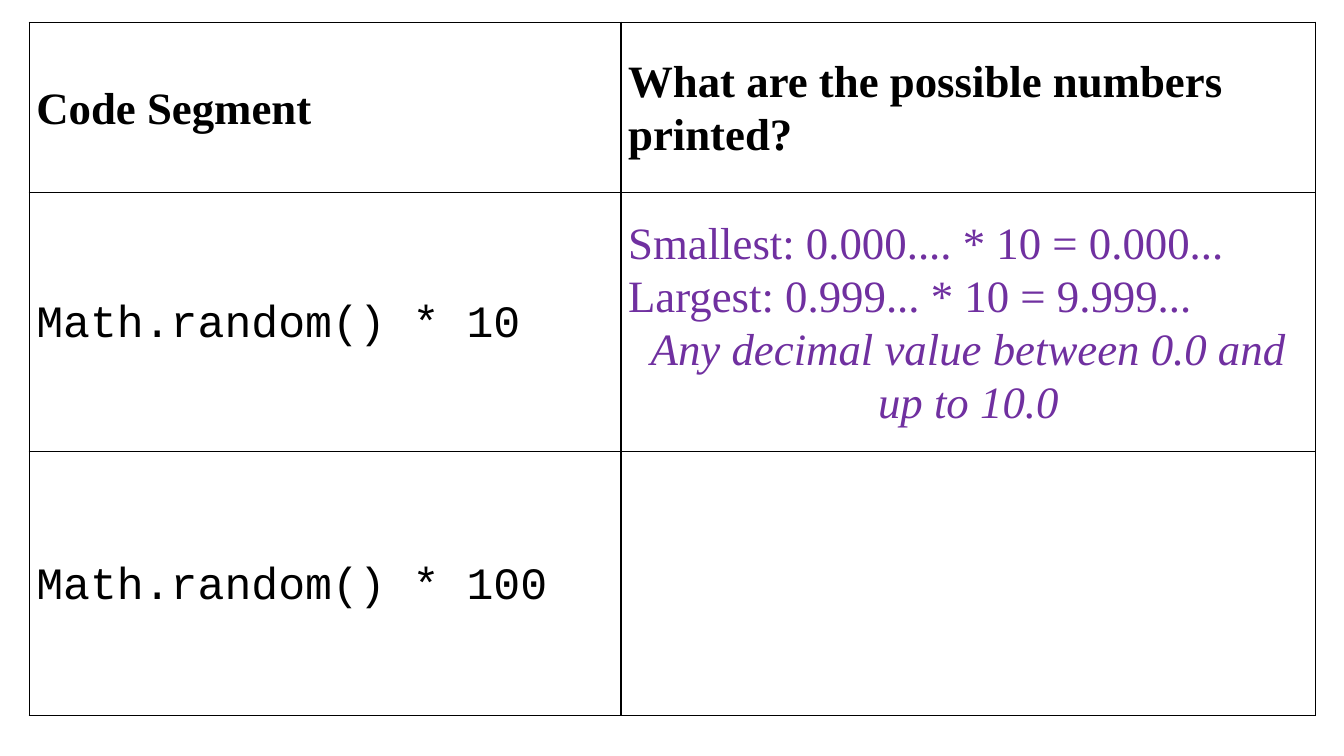
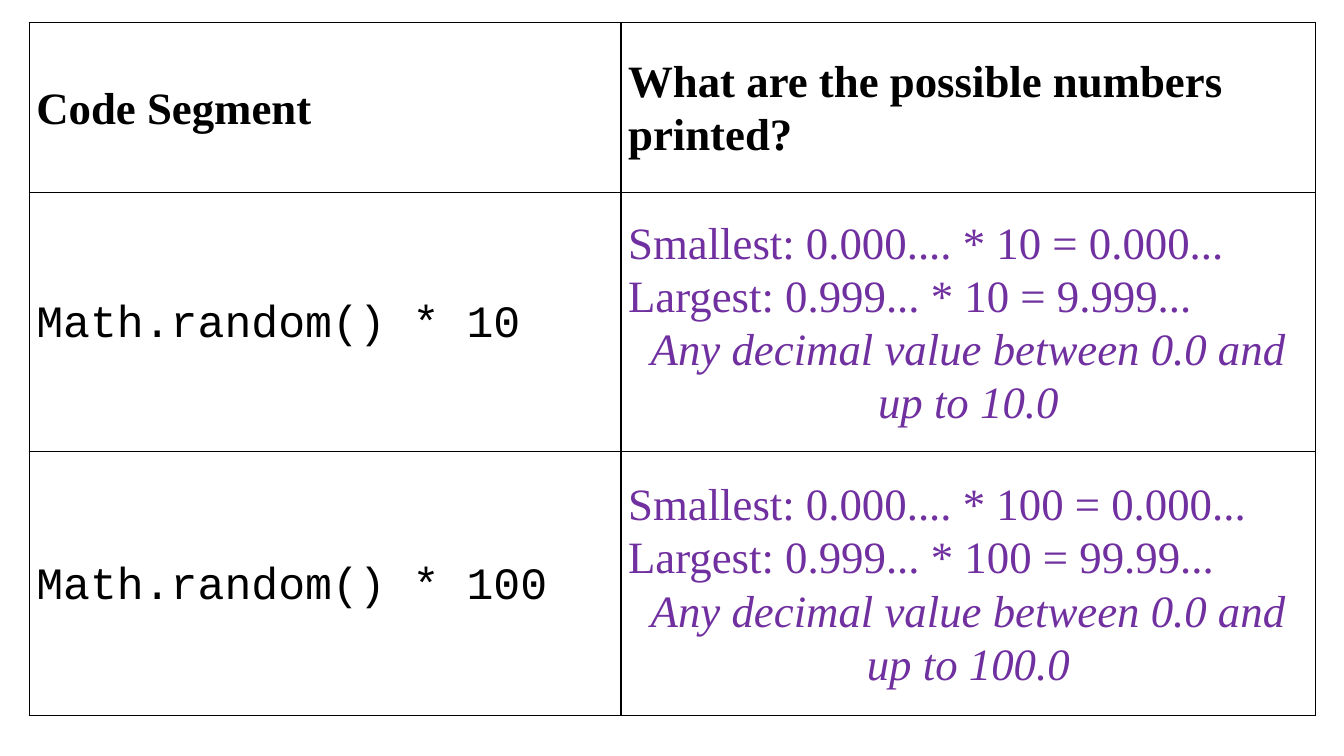
import pptx
import pptx.util
import pptx.dml.color
import pptx.enum.text
import pptx.oxml
import pptx.oxml.ns

Inches = pptx.util.Inches
ALIGN = pptx.enum.text.PP_ALIGN
SERIF = "Times New Roman"
MONO = "Courier New"
BLACK = "000000"
PURPLE = "7030A0"
COLS = [5.87, 6.89]
ROWS = [1.69, 2.57, 2.62]


def color(code):
    return pptx.dml.color.RGBColor.from_string(code)


def border(cell):
    props = cell._tc.get_or_add_tcPr()
    for side in "LRTB":
        props.append(pptx.oxml.parse_xml(
            f'<a:ln{side} {pptx.oxml.ns.nsdecls("a")} w="{pptx.util.Pt(1)}">'
            f'<a:solidFill><a:srgbClr val="{BLACK}"/></a:solidFill>'
            f'</a:ln{side}>'))


def style(par, face=SERIF, tint=BLACK, bold=False, slant=False,
          space=1.07, align=ALIGN.LEFT):
    par.alignment = align
    par.line_spacing = space
    font = par.font
    font.name = face
    font.size = pptx.util.Pt(32)
    font.bold = bold
    font.italic = slant
    font.color.rgb = color(tint)


def frame(cell):
    border(cell)
    cell.fill.background()
    cell.vertical_anchor = pptx.enum.text.MSO_ANCHOR.MIDDLE
    cell.margin_left = cell.margin_right = Inches(0.07)
    cell.margin_top = cell.margin_bottom = 0


def label(cell, text, **look):
    cell.text = text
    style(cell.text_frame.paragraphs[0], **look)


def answer(cell, factor, top):
    cell.text = "\n".join([
        f"Smallest: 0.000.... * {factor} = 0.000...",
        f"Largest: 0.999... * {factor} = {top}...",
        f"Any decimal value between 0.0 and up to {factor}.0"])
    *bounds, range_line = cell.text_frame.paragraphs
    for par in bounds:
        style(par, tint=PURPLE)
    style(range_line, tint=PURPLE, slant=True, align=ALIGN.CENTER)


def grid(slide):
    table = slide.shapes.add_table(
        len(ROWS), len(COLS), Inches(0.29), Inches(0.22),
        Inches(sum(COLS)), Inches(sum(ROWS))).table
    table.first_row = table.horz_banding = False
    for col, width in zip(table.columns, COLS):
        col.width = Inches(width)
    for row, height in zip(table.rows, ROWS):
        row.height = Inches(height)
    for cell in table.iter_cells():
        frame(cell)
    return table


def quiz(deck, solved):
    table = grid(deck.slides.add_slide(deck.slide_layouts[6]))
    heads = ["Code Segment", "What are the possible numbers printed?"]
    for col, head in enumerate(heads):
        label(table.cell(0, col), head, bold=True)
    tasks = [(10, "9.999"), (100, "99.99")]
    for row, (factor, top) in enumerate(tasks, 1):
        label(table.cell(row, 0), f"Math.random() * {factor}",
              face=MONO, space=1.15)
        if row <= solved:
            answer(table.cell(row, 1), factor, top)


def main():
    deck = pptx.Presentation()
    deck.slide_width = Inches(13.33)
    deck.slide_height = Inches(7.5)
    for solved in (1, 2):
        quiz(deck, solved)
    deck.save("out.pptx")


if __name__ == "__main__":
    main()
